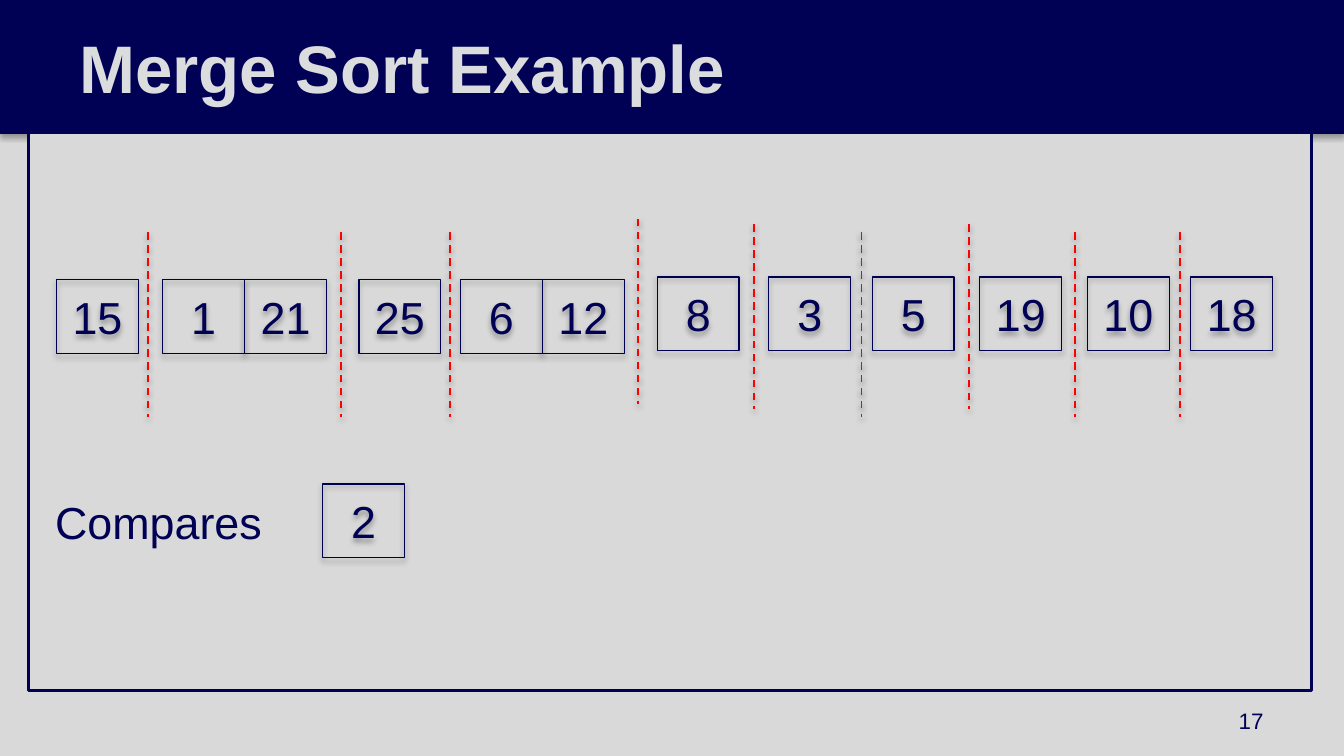
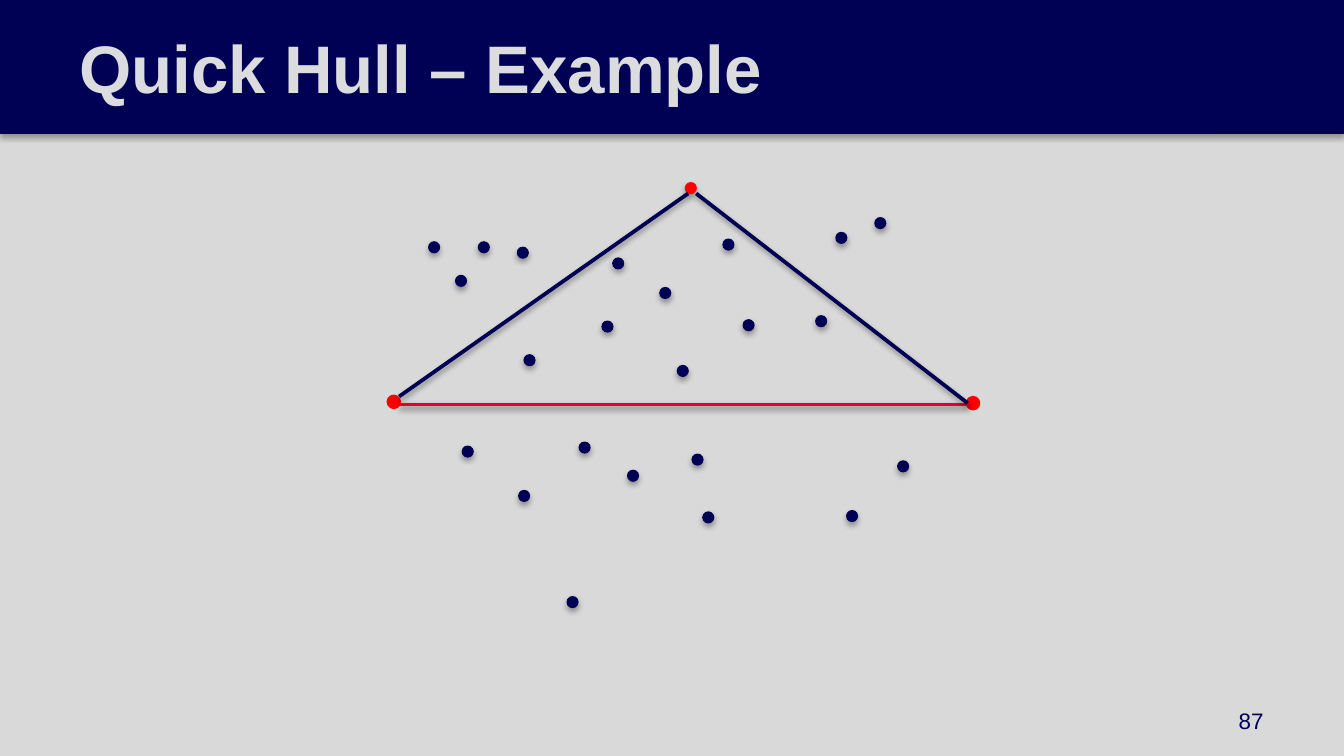
from dataclasses import dataclass
from typing import NamedTuple, Optional

from lxml.etree import SubElement
from pptx import Presentation
from pptx.dml.color import RGBColor as Color
from pptx.enum.dml import MSO_LINE_DASH_STYLE as Dash
from pptx.enum.shapes import MSO_AUTO_SHAPE_TYPE as Shape, MSO_CONNECTOR_TYPE as Connector
from pptx.enum.text import MSO_VERTICAL_ANCHOR as Anchor, PP_PARAGRAPH_ALIGNMENT as Align
from pptx.oxml.ns import qn
from pptx.util import Emu, Inches, Pt

# All places and sizes are counted in square grid units, 100 across the slide.
COLUMNS, ROWS = 100, 56.25
UNIT = Inches(10) / COLUMNS


@dataclass(frozen=True)
class Theme:
    font: str = "Arial"
    page: Color = Color(0xD9, 0xD9, 0xD9)
    navy: Color = Color(0x00, 0x00, 0x54)
    edge: Color = Color(0x00, 0x00, 0x52)
    title: Color = Color(0xDB, 0xDC, 0xDD)
    red: Color = Color(0xFF, 0x00, 0x00)
    crimson: Color = Color(0xE6, 0x00, 0x28)
    title_size: float = 36
    body_size: float = 24
    number_size: float = 12
    hairline: float = 0.75
    divider: float = 1
    frame: float = 1.5
    hull: float = 2


THEME = Theme()


class Area(NamedTuple):
    left: float
    top: float
    width: float
    height: float


class Point(NamedTuple):
    x: float
    y: float


class Shadow(NamedTuple):
    opacity: int
    blur: float
    distance: float


class Edge(NamedTuple):
    color: Color
    weight: float
    dash: Optional[Dash] = None


class Block(NamedTuple):
    """Neighbouring number cells of the array, from the left edge of the first."""
    left: float
    top: float
    values: tuple[int, ...]


class Segment(NamedTuple):
    start: Point
    end: Point
    edge: Edge


SHAPE_SHADOW = Shadow(35, 3.1, 1.8)
LINE_SHADOW = Shadow(38, 3.1, 1.6)
THIN_EDGE = Edge(THEME.edge, THEME.hairline)

BAND = Area(0, 0, COLUMNS, 9.9)
TITLE = Area(0, 0, 90.3, BAND.height)
NUMBER = Area(71.7, 52.1, 23.3, 3)
PANEL = Area(2.1, BAND.height, 95.5, 41.5)

CELL_WIDTH, CELL_HEIGHT = 6.1, 5.5
UPPER, LOWER = 20.6, 20.8
BLOCKS = [
    Block(4.2, LOWER, (15,)), Block(12.1, LOWER, (1, 21)),
    Block(26.7, LOWER, (25,)), Block(34.25, LOWER, (6, 12)),
    Block(48.9, UPPER, (8,)), Block(57.2, UPPER, (3,)),
    Block(64.9, UPPER, (5,)), Block(72.9, UPPER, (19,)),
    Block(80.9, UPPER, (10,)), Block(88.6, UPPER, (18,)),
]
COMPARE_COUNT = Block(24, 36, (2,))
DIVIDER_HEIGHT = 13.75
DIVIDER_TOPS = {
    16.3: (47.5,),
    16.7: (56.1, 72.1),
    17.3: (11, 25.4, 33.5, 64.1, 80, 87.8),
}

DOT = 0.8
INNER_DOTS = [
    Point(31.9, 18), Point(33.9, 20.5), Point(35.6, 18), Point(38.5, 18.4),
    Point(39, 26.4), Point(45.6, 19.2), Point(49.1, 21.4), Point(44.8, 23.9),
    Point(50.4, 27.2), Point(55.3, 23.8), Point(53.8, 17.8), Point(65.1, 16.2),
    Point(62.2, 17.3), Point(60.7, 23.5), Point(51.5, 33.8), Point(42.2, 44.4),
    Point(63, 38), Point(52.3, 38.1), Point(46.7, 35), Point(43.1, 32.9),
    Point(34.4, 33.2), Point(38.6, 36.5), Point(66.8, 34.3),
]
APEX = Point(51, 13.6)
BASE_ENDS = [Point(28.9, 29.5), Point(72, 29.6)]
HULL_EDGE = Edge(THEME.navy, THEME.hull)
HULL_LINES = [
    Segment(Point(29.7, 30.1), Point(72.1, 30.1), Edge(THEME.crimson, THEME.hull)),
    Segment(Point(29.7, 29.5), Point(51.2, 14.4), HULL_EDGE),
    Segment(Point(51.8, 14.4), Point(72, 30), HULL_EDGE),
]


def grid(*counts: float) -> list[Emu]:
    return [Emu(round(count * UNIT)) for count in counts]


def cast_shadow(item, shadow: Optional[Shadow]) -> None:
    """Replace the inherited effects by one downward shadow, or by none."""
    properties = item.element.spPr
    effects = properties.find(qn("a:effectLst"))
    if effects is None:
        effects = SubElement(properties, qn("a:effectLst"))
    if shadow is None:
        return
    outer = SubElement(effects, qn("a:outerShdw"), {
        "blurRad": str(int(Pt(shadow.blur))), "dist": str(int(Pt(shadow.distance))),
        "dir": "5400000", "algn": "t", "rotWithShape": "0"})
    tint = SubElement(outer, qn("a:srgbClr"), val="000000")
    SubElement(tint, qn("a:alpha"), val=str(shadow.opacity * 1000))


def style_line(line, edge: Edge) -> None:
    line.color.rgb = edge.color
    line.width = Pt(edge.weight)
    if edge.dash is not None:
        line.dash_style = edge.dash


def add_box(page, area: Area, edge: Edge, fill: Optional[Color] = None,
            shadow: Optional[Shadow] = None, kind: Shape = Shape.RECTANGLE):
    box = page.shapes.add_shape(kind, *grid(*area))
    box.shadow.inherit = False
    if fill is None:
        box.fill.background()
    else:
        box.fill.solid()
        box.fill.fore_color.rgb = fill
    style_line(box.line, edge)
    cast_shadow(box, shadow)
    return box


def add_line(page, segment: Segment) -> None:
    line = page.shapes.add_connector(Connector.STRAIGHT, *grid(*segment.start, *segment.end))
    style_line(line.line, segment.edge)
    cast_shadow(line, LINE_SHADOW)


def write(box, text: str, size: float, color: Color = THEME.navy,
          align: Align = Align.LEFT, bold: bool = False, **frame_format):
    frame = box.text_frame
    for name, value in {"word_wrap": True, "vertical_anchor": Anchor.MIDDLE,
                        **frame_format}.items():
        setattr(frame, name, value)
    para = frame.paragraphs[0]
    para.alignment = align
    span = para.add_run()
    span.text = text
    for name, value in {"name": THEME.font, "size": Pt(size), "bold": bold}.items():
        setattr(span.font, name, value)
    span.font.color.rgb = color
    return para


def margins(side: float, top: float = 1) -> dict[str, Emu]:
    names = ("margin_left", "margin_right", "margin_top", "margin_bottom")
    return dict(zip(names, grid(side, side, top, 1)))


def add_page(deck, title: str, number: int, framed: bool = False):
    """Add a page with its title band and number; return it with its panel, if framed."""
    page = deck.slides.add_slide(deck.slide_layouts[6])
    page.background.fill.solid()
    page.background.fill.fore_color.rgb = THEME.page
    add_box(page, BAND, THIN_EDGE, THEME.navy, SHAPE_SHADOW)
    panel = add_box(page, PANEL, Edge(THEME.navy, THEME.frame), THEME.page) if framed else None
    heading = page.shapes.add_textbox(*grid(*TITLE))
    heading.fill.solid()
    heading.fill.fore_color.rgb = THEME.navy
    para = write(heading, title, THEME.title_size, THEME.title, bold=True, **margins(4))
    indent, = grid(1.9)
    for name, value in {"marL": indent, "indent": 0}.items():
        para._p.get_or_add_pPr().set(name, str(value))
    write(page.shapes.add_textbox(*grid(*NUMBER)), str(number), THEME.number_size,
          align=Align.RIGHT)
    return page, panel


def add_block(page, block: Block) -> None:
    for index, value in enumerate(block.values):
        area = Area(block.left + index * CELL_WIDTH, block.top, CELL_WIDTH, CELL_HEIGHT)
        cell = add_box(page, area, THIN_EDGE, shadow=SHAPE_SHADOW)
        write(cell, str(value), THEME.body_size, align=Align.CENTER)


def add_dot(page, corner: Point, color: Color, weight: float = THEME.hairline,
            shadow: Optional[Shadow] = SHAPE_SHADOW) -> None:
    add_box(page, Area(*corner, DOT, DOT), Edge(color, weight), color, shadow, Shape.OVAL)


def add_merge_sort(deck) -> None:
    page, panel = add_page(deck, "Merge Sort Example", 17, framed=True)
    write(panel, "Compares", THEME.body_size, vertical_anchor=Anchor.TOP,
          **margins(2, top=26.9))
    for block in [*BLOCKS, COMPARE_COUNT]:
        add_block(page, block)
    edge = Edge(THEME.red, THEME.divider, Dash.DASH)
    for top, columns in DIVIDER_TOPS.items():
        for x in columns:
            add_line(page, Segment(Point(x, top), Point(x, top + DIVIDER_HEIGHT), edge))


def add_quick_hull(deck) -> None:
    page, _ = add_page(deck, "Quick Hull – Example", 87)
    for corner in INNER_DOTS:
        add_dot(page, corner, THEME.navy)
    add_dot(page, APEX, THEME.red)
    for corner in BASE_ENDS:
        add_dot(page, corner, THEME.red, THEME.hull, shadow=None)
    for segment in HULL_LINES:
        add_line(page, segment)


def main() -> None:
    deck = Presentation()
    deck.slide_width, deck.slide_height = grid(COLUMNS, ROWS)
    add_merge_sort(deck)
    add_quick_hull(deck)
    deck.save("out.pptx")


if __name__ == "__main__":
    main()
